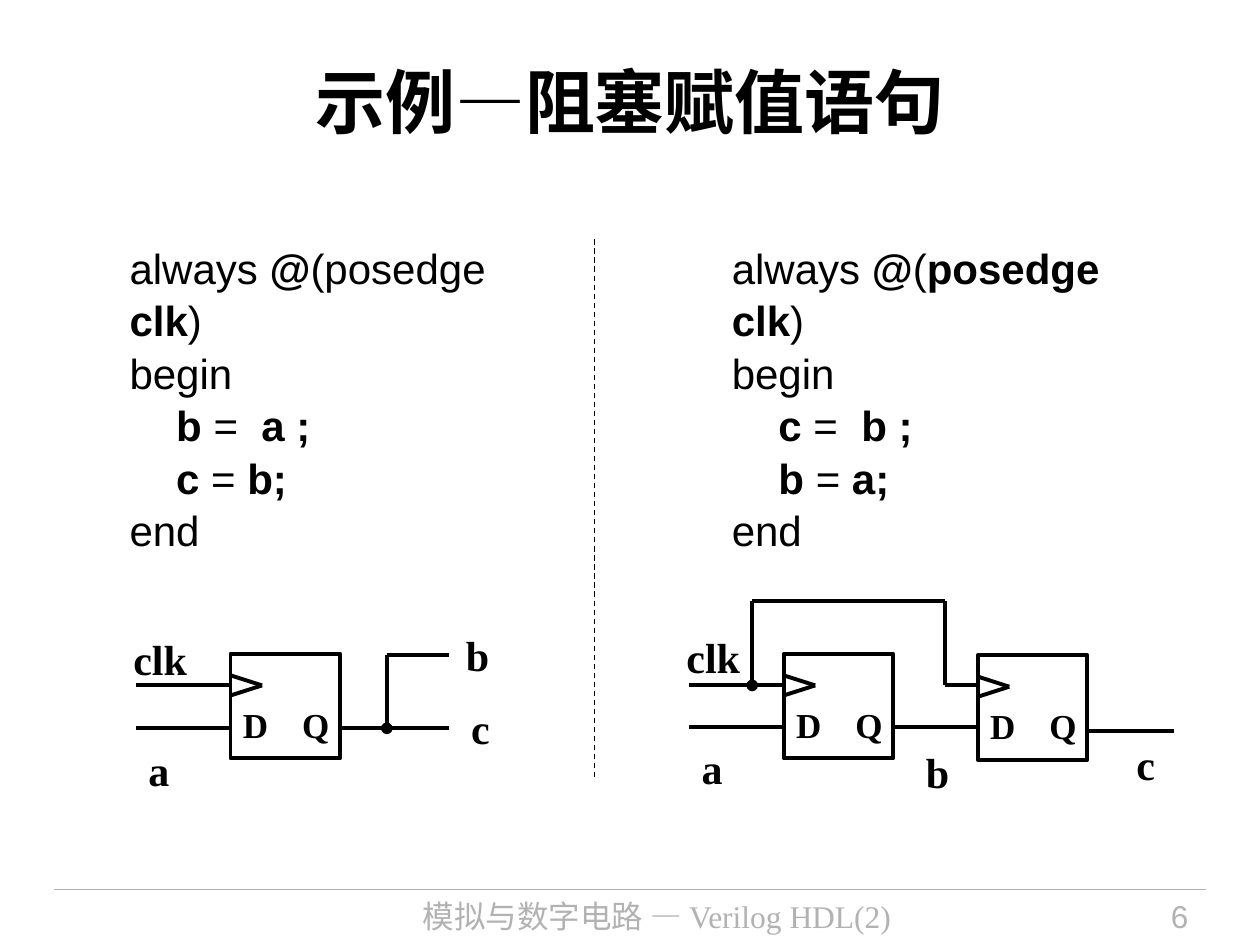
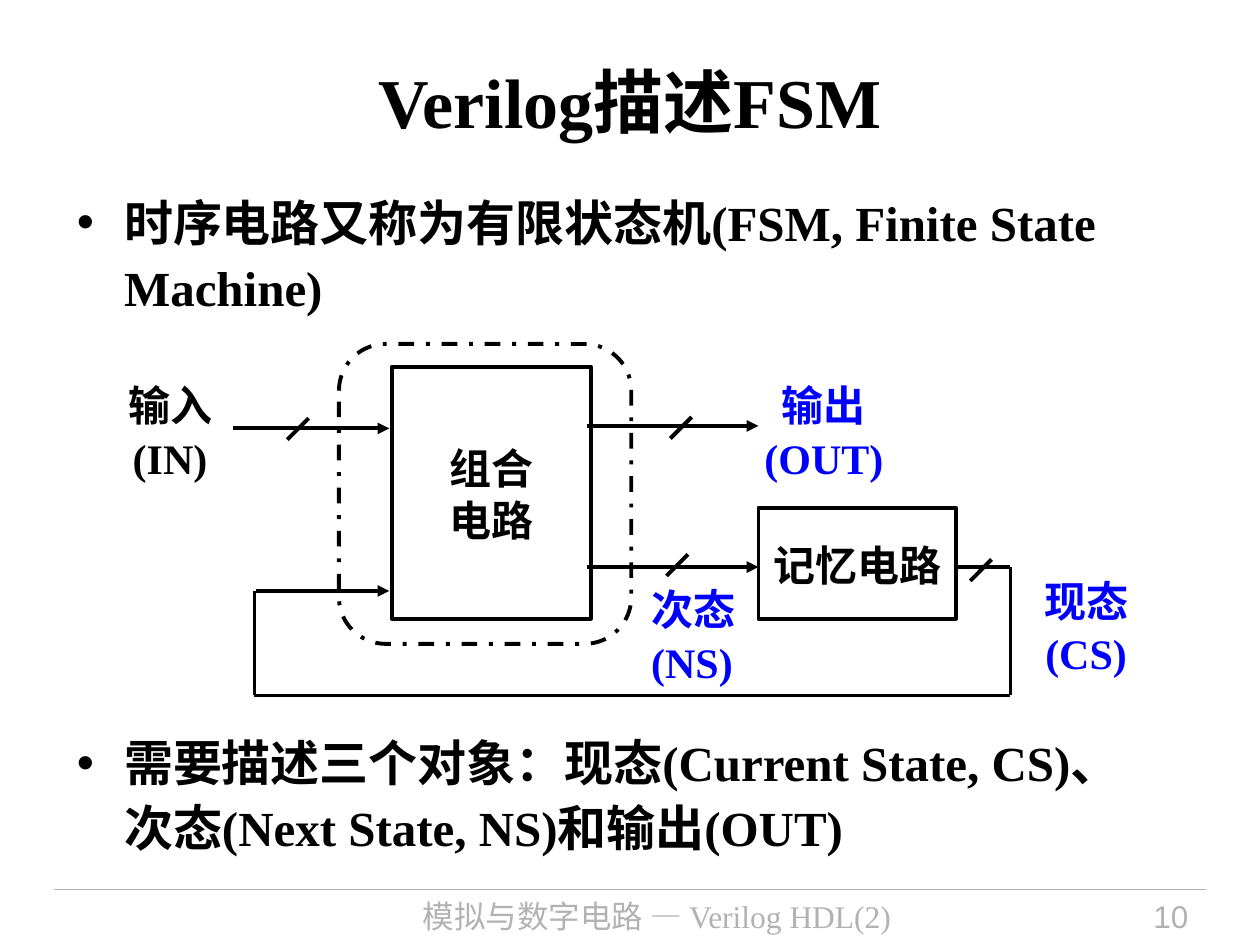
"""Build two Verilog slides: blocking assignment and finite state machines."""
from lxml import etree
from pptx import Presentation
from pptx.dml.color import RGBColor
from pptx.enum import dml, shapes, text
from pptx.oxml import ns
from pptx.util import Inches, Pt

HUES = {"ink": "000000", "paper": "FFFFFF", "blue": "0000FF", "gray": "B2B2B2"}
SERIF, SANS = "Times New Roman", "Arial"
LEFT, MID, RIGHT = text.PP_ALIGN.LEFT, text.PP_ALIGN.CENTER, text.PP_ALIGN.RIGHT
DASH, DOT = dml.MSO_LINE.DASH, dml.MSO_LINE.DASH_DOT

TITLE = {"name": SERIF, "size": Pt(40), "bold": True}
BODY = {"name": SERIF, "size": Pt(28), "bold": True}
LABEL = {"name": SERIF, "size": Pt(24), "bold": True}
PIN = {"name": SERIF, "size": Pt(20), "bold": True}
BLOCK = {"name": SANS, "size": Pt(24), "bold": True}
CODE = {"name": SANS, "size": Pt(24), "bold": False}
FOOT = {"name": SERIF, "size": Pt(18), "bold": False}
PAGE = {"name": SANS, "size": Pt(18), "bold": False}

FOOTER = "模拟与数字电路 — Verilog HDL(2)"

# In code lines, every second part between bars is bold.
CODES = [
    (0.93, ["always| @|(posedge| clk|)", "begin", "|    b |=|  a ;",
            "|    c |=| b;", "end"]),
    (5.71, ["always| @|(|posedge clk|)", "begin", "|    c |=|  b ;",
            "|    b |=| a;", "end"]),
]
FLOPS = [(1.83, 5.19), (6.22, 5.19), (7.76, 5.2)]
SIGNALS = [
    ("clk", 0.96, 4.96, 0.67), ("a", 1.08, 5.84, 0.33),
    ("b", 3.6, 4.93, 0.33), ("c", 3.64, 5.51, 0.33),
    ("clk", 5.35, 4.95, 0.67), ("a", 5.47, 5.83, 0.33),
    ("b", 7.25, 5.86, 0.33), ("c", 8.92, 5.8, 0.33),
]
WIRES = [
    (1.08, 5.44, 1.83, 5.44), (1.08, 5.78, 1.83, 5.78),
    (2.7, 5.78, 3.56, 5.78), (3.07, 5.2, 3.56, 5.2),
    (5.47, 5.44, 6.22, 5.44), (5.47, 5.77, 6.22, 5.77),
    (7.09, 5.77, 7.75, 5.77), (7.5, 5.44, 7.75, 5.44),
    (5.97, 4.77, 7.5, 4.77), (7.5, 4.77, 7.5, 5.44),
    (8.64, 5.8, 9.32, 5.8),
]
TAPS = [(3.07, 5.2, 3.07, 5.78), (5.97, 4.77, 5.97, 5.44)]

POINTS = [
    ("时序电路又称为有限状态机(FSM, Finite State Machine)", 0),
    ("需要描述三个对象：现态(Current State, CS)、 次态(Next State, NS)和输出(OUT)", 228),
]
BLOCKS = [
    (["组合", "电路"], (3.11, 2.91, 1.58, 2)),
    (["记忆电路"], (6.02, 4.03, 1.57, 0.88)),
]
STATES = [
    (["输入", "(IN)"], (0.81, 2.95, 1.08, 0.9), MID, "ink"),
    (["输出", "(OUT)"], (5.91, 2.95, 1.26, 0.9), MID, "blue"),
    (["次态", "(NS)"], (5.07, 4.57, 1.14, 0.9), LEFT, "blue"),
    (["现态", "(CS)"], (8.07, 4.5, 1.1, 0.9), MID, "blue"),
]
ARROWS = [
    (1.85, 3.4, 3.09, 3.4), (2.03, 4.69, 3.09, 4.69),
    (4.66, 3.38, 6.02, 3.38), (4.66, 4.5, 6.02, 4.5),
]
LOOP = [(7.57, 4.5), (8.02, 4.5), (8.02, 5.52), (2.02, 5.52), (2.02, 4.69)]
BUSES = [(2.28, 3.32), (5.32, 3.31), (5.29, 4.4), (7.7, 4.44)]


def tint(hue):
    return RGBColor.from_string(HUES[hue])


def style(font, form, hue="ink"):
    for key, val in form.items():
        setattr(font, key, val)
    font.color.rgb = tint(hue)


def paras(frame, count):
    return [frame.paragraphs[0]] + [frame.add_paragraph() for _ in range(count - 1)]


def write(frame, lines, form, hue="ink", align=LEFT):
    for para, line in zip(paras(frame, len(lines)), lines):
        para.alignment, para.line_spacing = align, 1.04
        for spot, part in enumerate(line.split("|")):
            if part:
                run = para.add_run()
                run.text = part
                style(run.font, form, hue)
                run.font.bold = form["bold"] or spot % 2 == 1


def label(slide, lines, box, form, hue="ink", align=LEFT):
    frame = slide.shapes.add_textbox(*map(Inches, box)).text_frame
    frame.word_wrap = True
    write(frame, lines, form, hue, align)


def wire(slide, ends, tail=None, hue="ink", width=2.25, dash=None):
    con = slide.shapes.add_connector(shapes.MSO_CONNECTOR.STRAIGHT, *map(Inches, ends))
    con.line.color.rgb, con.line.width = tint(hue), Pt(width)
    if dash:
        con.line.dash_style = dash
    props = con.element.spPr
    if tail:
        etree.SubElement(props.find(ns.qn("a:ln")), ns.qn("a:tailEnd"), type=tail)
    etree.SubElement(props, ns.qn("a:effectLst"))


def frame_box(slide, kind, box, fill=None, dash=None):
    shape = slide.shapes.add_shape(kind, *map(Inches, box))
    shape.shadow.inherit = False
    if fill:
        shape.fill.solid()
        shape.fill.fore_color.rgb = tint(fill)
    else:
        shape.fill.background()
    shape.line.color.rgb, shape.line.width = tint("ink"), Pt(2.25)
    if dash:
        shape.line.dash_style = dash
    return shape


def place(shape, box):
    shape.left, shape.top, shape.width, shape.height = map(Inches, box)
    shape.text_frame.auto_size = text.MSO_AUTO_SIZE.NONE


def start(deck, layout, title, page):
    slide = deck.slides.add_slide(deck.slide_layouts[layout])
    head = slide.shapes.title
    place(head, (0.5, 0.17, 9, 1.25))
    head.text_frame.text = title
    style(head.text_frame.paragraphs[0].font, TITLE)
    wire(slide, (0.43, 7.06, 9.57, 7.06), hue="gray", width=0.75)
    label(slide, [FOOTER], (2.4, 7.06, 5.63, 0.44), FOOT, "gray", MID)
    label(slide, [page], (8.2, 7.06, 1.33, 0.44), PAGE, "gray", RIGHT)
    return slide


def flop(slide, x, y):
    frame_box(slide, shapes.MSO_SHAPE.RECTANGLE, (x, y, 0.87, 0.83))
    for side in (0.17, 0.33):
        wire(slide, (x, y + side, x + 0.25, y + 0.25))
    for pin, shift in (("D", 0), ("Q", 0.47)):
        label(slide, [pin], (x + shift, y + 0.33, 0.47 - shift * 0.3, 0.43), PIN)


def assign(deck):
    slide = start(deck, 5, "示例—阻塞赋值语句", "6")
    for x, lines in CODES:
        label(slide, lines, (x, 1.86, 3.33, 2.5), CODE)
    wire(slide, (4.72, 1.9, 4.72, 6.19), width=0.75, dash=DASH)
    for x, y in FLOPS:
        flop(slide, x, y)
    for ends in WIRES:
        wire(slide, ends)
    for ends in TAPS:
        wire(slide, ends, "oval")
    for name, x, y, width in SIGNALS:
        label(slide, [name], (x, y, width, 0.5), LABEL)


def machine(deck):
    slide = start(deck, 1, "Verilog描述FSM", "10")
    body = slide.placeholders[1]
    place(body, (0.51, 1.43, 8.94, 5.59))
    for para, (line, gap) in zip(paras(body.text_frame, len(POINTS)), POINTS):
        para.text = line
        para.line_spacing = 1.1
        para.space_before, para.space_after = Pt(gap), Pt(7)
        style(para.font, BODY)
    for lines, box in BLOCKS:
        shape = frame_box(slide, shapes.MSO_SHAPE.RECTANGLE, box, "paper")
        frame = shape.text_frame
        frame.margin_left = frame.margin_right = 0
        frame.margin_top = frame.margin_bottom = 0
        frame.word_wrap = False
        frame.vertical_anchor = text.MSO_ANCHOR.MIDDLE
        write(frame, lines, BLOCK, align=MID)
    for ends in ARROWS:
        wire(slide, ends, "triangle")
    for tip, end in zip(LOOP, LOOP[1:]):
        wire(slide, tip + end)
    for x, y in BUSES:
        wire(slide, (x + 0.17, y, x, y + 0.17))
    for lines, box, align, hue in STATES:
        label(slide, lines, box, LABEL, hue, align)
    ring = frame_box(slide, shapes.MSO_SHAPE.ROUNDED_RECTANGLE,
                     (2.69, 2.73, 2.32, 2.38), dash=DOT)
    ring.adjustments[0] = 0.16


def main():
    deck = Presentation()
    deck.slide_width, deck.slide_height = Inches(10), Inches(7.5)
    assign(deck)
    machine(deck)
    deck.save("out.pptx")


if __name__ == "__main__":
    main()
